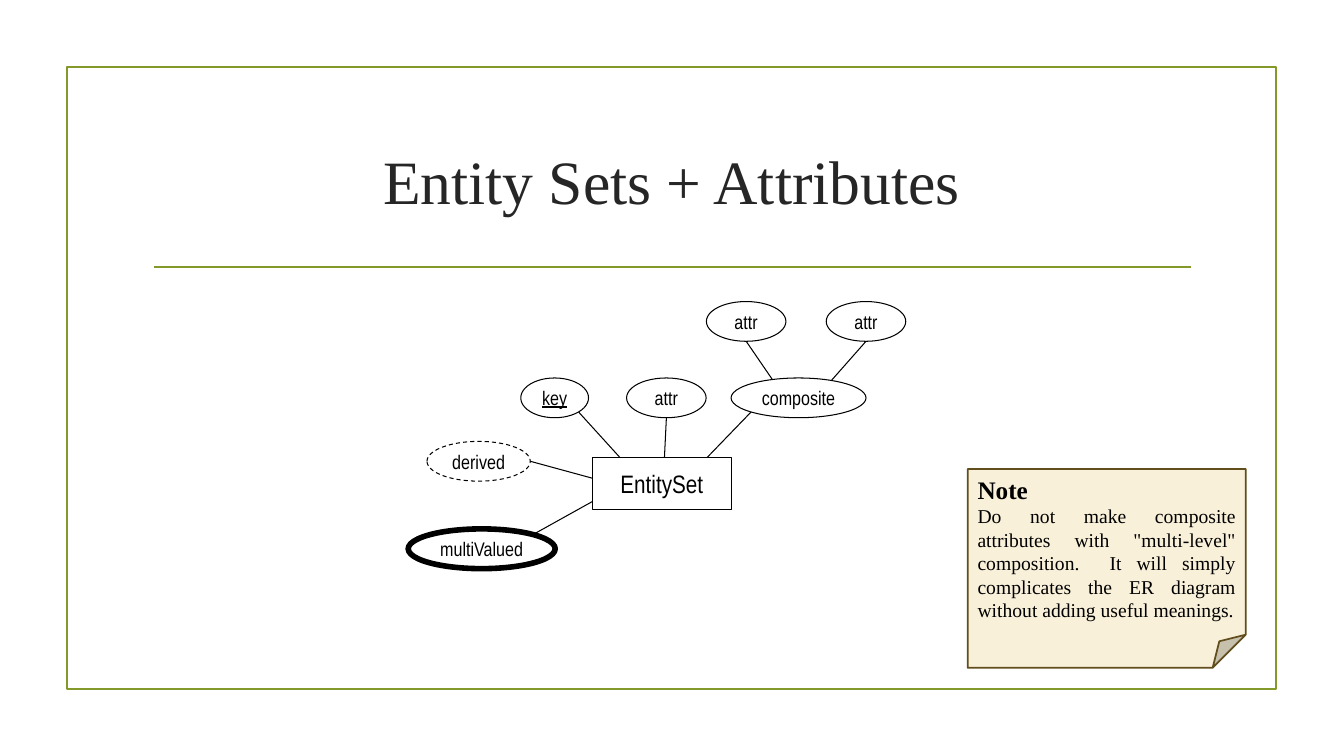
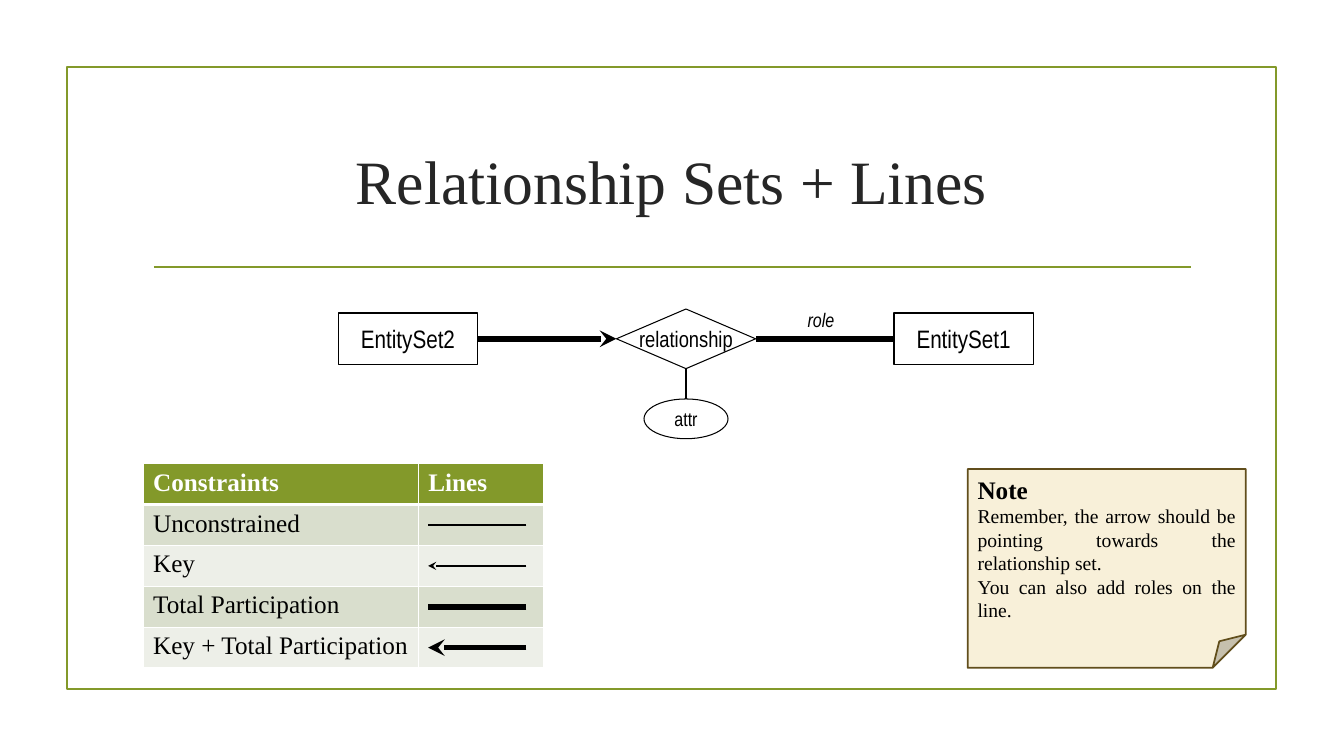
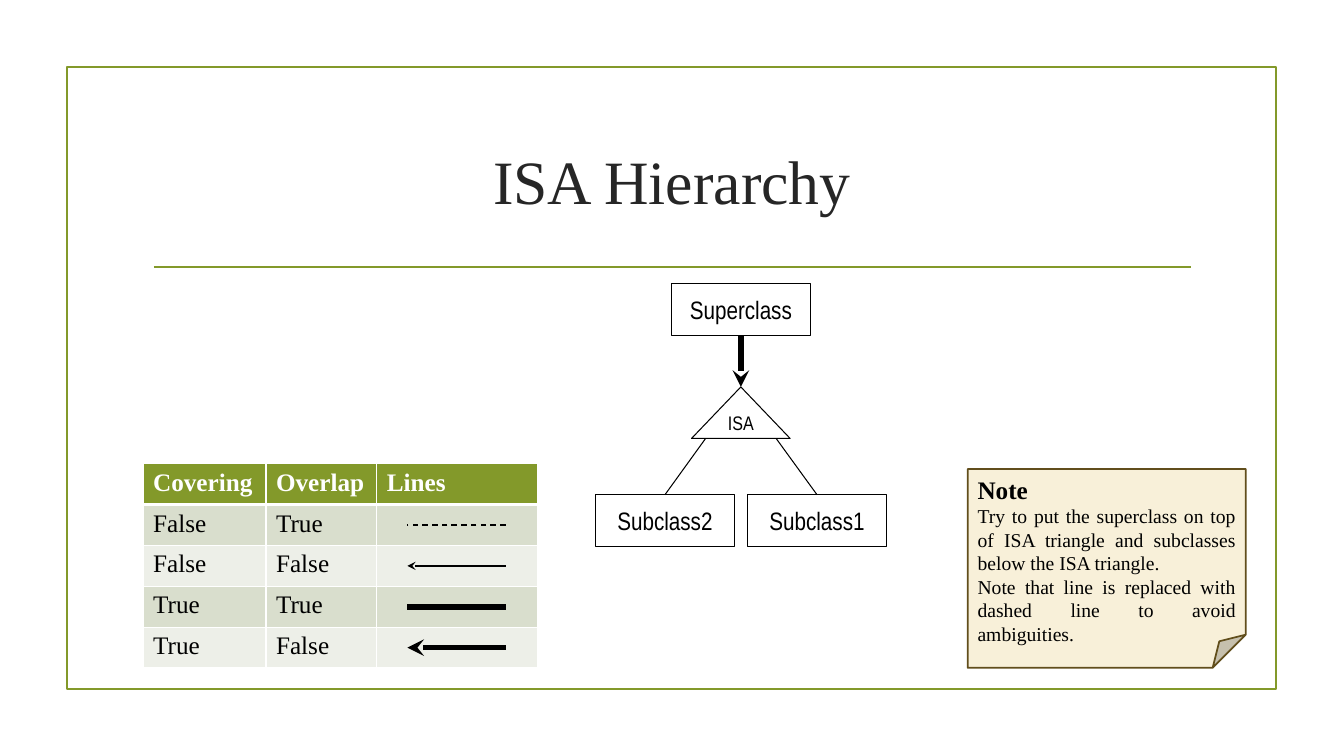
from lxml import etree
from pptx import Presentation
from pptx.dml.color import RGBColor
from pptx.enum.dml import MSO_LINE
from pptx.enum.shapes import MSO_CONNECTOR, MSO_SHAPE
from pptx.enum.text import MSO_ANCHOR, PP_ALIGN
from pptx.oxml.ns import qn
from pptx.util import Pt

STRAIGHT = MSO_CONNECTOR.STRAIGHT
RECTANGLE, ELLIPSE = MSO_SHAPE.RECTANGLE, MSO_SHAPE.OVAL
DIAMOND, TRIANGLE = MSO_SHAPE.DIAMOND, MSO_SHAPE.ISOSCELES_TRIANGLE
FOLDED_CORNER = MSO_SHAPE.FOLDED_CORNER
DASH = MSO_LINE.DASH
TOP, MIDDLE = MSO_ANCHOR.TOP, MSO_ANCHOR.MIDDLE
CENTER, JUSTIFY, LEFT = PP_ALIGN.CENTER, PP_ALIGN.JUSTIFY, PP_ALIGN.LEFT

GREEN = RGBColor(0x83, 0x99, 0x2A)
CHARCOAL = RGBColor(0x26, 0x26, 0x26)
BLACK = RGBColor(0, 0, 0)
WHITE = RGBColor(0xFF, 0xFF, 0xFF)
CREAM = RGBColor(0xF8, 0xF0, 0xD9)
BROWN = RGBColor(0x61, 0x4E, 0x1C)
ROW_TINTS = (RGBColor(0xD9, 0xDE, 0xCD), RGBColor(0xED, 0xEF, 0xE8))

SERIF, NARROW = "Times New Roman", "Arial Narrow"
THIN, THICK = 0.75, 4
SIDE_TOP, SIDE_LEFT, SIDE_BOTTOM, SIDE_RIGHT = range(4)
TABLE_LEFT, TABLE_TOP, ROW_HEIGHT = 102.2, 331.2, 29.2
SAMPLE_LENGTH = 70.2
ATTRIBUTE_HEIGHT = 28.4
ENTITY_WIDTH, ENTITY_HEIGHT = 99.4, 36.8


class Deck:
    def __init__(self):
        self.prs = Presentation()
        self.prs.slide_width, self.prs.slide_height = Pt(960), Pt(540)
        self.slide = None

    def new_slide(self, heading):
        self.slide = self.prs.slides.add_slide(self.prs.slide_layouts[5])
        self.shape(RECTANGLE, 47.7, 48, 864, 444.2, None, GREEN, 1.25)
        self.line((110, 190.8), (850.6, 190.8), 1.25, color=GREEN)
        title = self.slide.shapes.title
        title.left, title.top, title.width, title.height = map(Pt, (102, 77, 756, 103))
        title.text_frame.text = heading
        title.text_frame.vertical_anchor = MIDDLE
        self.style(title.text_frame.paragraphs[0], 44, SERIF, CHARCOAL, CENTER)

    def style(self, paragraph, size, face, color=BLACK, align=LEFT, **emphasis):
        paragraph.alignment = align
        for run in paragraph.runs:
            run.font.size, run.font.name = Pt(size), face
            run.font.color.rgb = color
            for trait, value in emphasis.items():
                setattr(run.font, trait, value)

    def shape(self, kind, left, top, width, height, fill, color, weight):
        shape = self.slide.shapes.add_shape(kind, Pt(left), Pt(top), Pt(width), Pt(height))
        shape.shadow.inherit = False
        if fill is None:
            shape.fill.background()
        else:
            shape.fill.solid()
            shape.fill.fore_color.rgb = fill
        shape.line.color.rgb = color
        shape.line.width = Pt(weight)
        return shape

    def caption(self, shape, text, size, **emphasis):
        frame = shape.text_frame
        frame.text = text
        frame.word_wrap = False
        frame.vertical_anchor = MIDDLE
        frame.margin_left = frame.margin_right = frame.margin_top = frame.margin_bottom = 0
        self.style(frame.paragraphs[0], size, NARROW, align=CENTER, **emphasis)

    def node(self, kind, text, left, top, width, height, size, weight=THIN, **emphasis):
        node = self.shape(kind, left, top, width, height, WHITE, BLACK, weight)
        self.caption(node, text, size, **emphasis)
        return node

    def attribute(self, text, left, top, width=56.8, weight=THIN, **emphasis):
        return self.node(ELLIPSE, text, left, top, width, ATTRIBUTE_HEIGHT, 14, weight, **emphasis)

    def entity(self, text, left, top):
        return self.node(RECTANGLE, text, left, top, ENTITY_WIDTH, ENTITY_HEIGHT, 18)

    def label(self, text, left, top, width, height, **emphasis):
        box = self.slide.shapes.add_textbox(Pt(left), Pt(top), Pt(width), Pt(height))
        self.caption(box, text, 14, **emphasis)

    def line(self, start, end, weight=THIN, arrow=False, dashed=False, color=BLACK):
        line = self.slide.shapes.add_connector(STRAIGHT, *map(Pt, (*start, *end)))
        line.line.color.rgb = color
        line.line.width = Pt(weight)
        if dashed:
            line.line.dash_style = DASH
        properties = line.element.spPr
        if arrow:
            etree.SubElement(properties.find(qn("a:ln")), qn("a:tailEnd"), type="stealth")
        etree.SubElement(properties, qn("a:effectLst"))
        return line

    def join(self, source, source_side, target, target_side, weight=THIN, arrow=False):
        link = self.line((0, 0), (0, 0), weight, arrow)
        link.begin_connect(source, source_side)
        link.end_connect(target, target_side)

    def note(self, *remarks):
        note = self.shape(FOLDED_CORNER, 691.2, 335, 198.7, 142, CREAM, BROWN, 1.25)
        frame = note.text_frame
        frame.word_wrap = True
        frame.vertical_anchor = TOP
        frame.text = "\n".join(("Note",) + remarks)
        heading, *body = frame.paragraphs
        self.style(heading, 18, SERIF, align=JUSTIFY, bold=True)
        for remark in body:
            self.style(remark, 14, SERIF, align=JUSTIFY)

    def border(self, cell, row):
        properties = cell._tc.get_or_add_tcPr()
        weights = {"a:lnL": 1, "a:lnR": 1, "a:lnT": 3 if row == 1 else 1, "a:lnB": 3 if row == 0 else 1}
        for side, weight in weights.items():
            edge = etree.SubElement(properties, qn(side), w=str(Pt(weight)))
            fill = etree.SubElement(edge, qn("a:solidFill"))
            etree.SubElement(fill, qn("a:srgbClr"), val=str(WHITE))

    def line_table(self, widths, rows, sample_left, dashed_first):
        table = self.slide.shapes.add_table(
            len(rows), len(widths), Pt(TABLE_LEFT), Pt(TABLE_TOP),
            Pt(sum(widths)), Pt(ROW_HEIGHT * len(rows))).table
        for column, width in zip(table.columns, widths):
            column.width = Pt(width)
        for r, texts in enumerate(rows):
            table.rows[r].height = Pt(ROW_HEIGHT)
            for c in range(len(widths)):
                cell = table.cell(r, c)
                self.border(cell, r)
                cell.fill.solid()
                cell.fill.fore_color.rgb = ROW_TINTS[(r - 1) % 2] if r else GREEN
                if c < len(texts):
                    cell.text_frame.text = texts[c]
                paragraph = cell.text_frame.paragraphs[0]
                paragraph.font.size = Pt(18)
                self.style(paragraph, 18, SERIF, BLACK if r else WHITE, bold=r == 0)
        samples = ((1, False), (1, True), (THICK, False), (THICK, True))
        for r, (weight, arrow) in enumerate(samples, 1):
            y = TABLE_TOP + ROW_HEIGHT * (r + 0.5)
            self.line((sample_left + SAMPLE_LENGTH, y), (sample_left, y),
                      weight, arrow, dashed_first and r == 1)


def entity_sets(deck):
    deck.new_slide("Entity Sets + Attributes")
    entity_hub, composite_hub = (473, 360), (570.4, 298.4)
    for start, end in (
        ((413.4, 294.4), entity_hub),
        ((476, 298.4), entity_hub),
        ((536.4, 294.4), entity_hub),
        ((378.8, 329.5), (435.6, 345)),
        ((381, 381.7), (473, 330.5)),
        ((533, 243.8), composite_hub),
        ((618.6, 243.8), composite_hub),
    ):
        deck.line(start, end)
    deck.attribute("key", 372, 270, 48.4, underline=True)
    deck.attribute("attr", 447.6, 270)
    derived = deck.attribute("derived", 305, 315.3, 73.8)
    derived.line.dash_style = DASH
    deck.attribute("multiValued", 291.6, 377.8, 105, THICK)
    deck.entity("EntitySet", 423, 327)
    for left in (504.6, 590.2):
        deck.attribute("attr", left, 215.4)
    deck.attribute("composite", 522.2, 270, 96.4)
    deck.note('Do not make composite attributes with "multi-level" composition.  It will simply '
              "complicates the ER diagram without adding useful meanings.")


def relationship_sets(deck):
    deck.new_slide("Relationship Sets + Lines")
    deck.line_table((196.6, 89.3), (
        ("Constraints", "Lines"),
        ("Unconstrained",),
        ("Key",),
        ("Total Participation",),
        ("Key + Total Participation",),
    ), 305.8, False)
    deck.note("Remember, the arrow should be pointing towards the relationship set.",
              "You can also add roles on the line.")
    relationship = deck.node(DIAMOND, "relationship", 440.3, 220.7, 99.4, 42.6, 16)
    second = deck.entity("EntitySet2", 241.7, 223.6)
    first = deck.entity("EntitySet1", 638.6, 223.6)
    attribute = deck.attribute("attr", 460, 285, 60)
    deck.join(second, SIDE_RIGHT, relationship, SIDE_LEFT, THICK, True)
    deck.join(first, SIDE_LEFT, relationship, SIDE_RIGHT, THICK)
    deck.join(attribute, SIDE_TOP, relationship, SIDE_BOTTOM)
    deck.label("role", 569.5, 216.2, 33.8, 24.4, italic=True)


def isa_hierarchy(deck):
    deck.new_slide("ISA Hierarchy")
    deck.note("Try to put the superclass on top of ISA triangle and subclasses below the ISA triangle.",
              "Note that line is replaced with dashed line to avoid ambiguities.")
    isa = deck.node(TRIANGLE, "ISA", 494, 276.4, 70.4, 36.8, 14)
    isa.text_frame.margin_bottom = Pt(4)
    superclass = deck.entity("Superclass", 479.5, 202.8)
    deck.join(superclass, SIDE_BOTTOM, isa, SIDE_TOP, THICK, True)
    for name, left, base in (("Subclass2", 425.3, 504), ("Subclass1", 533.9, 554.4)):
        subclass = deck.entity(name, left, 353.4)
        link = deck.line((left, 353.4), (base, 313.2))
        link.begin_connect(subclass, SIDE_TOP)
    deck.line_table((87.8, 79.2, 114.5), (
        ("Covering", "Overlap", "Lines"),
        ("False", "True"),
        ("False", "False"),
        ("True", "True"),
        ("True", "False"),
    ), 291, True)


def main():
    deck = Deck()
    entity_sets(deck)
    relationship_sets(deck)
    isa_hierarchy(deck)
    deck.prs.save("out.pptx")


if __name__ == "__main__":
    main()
